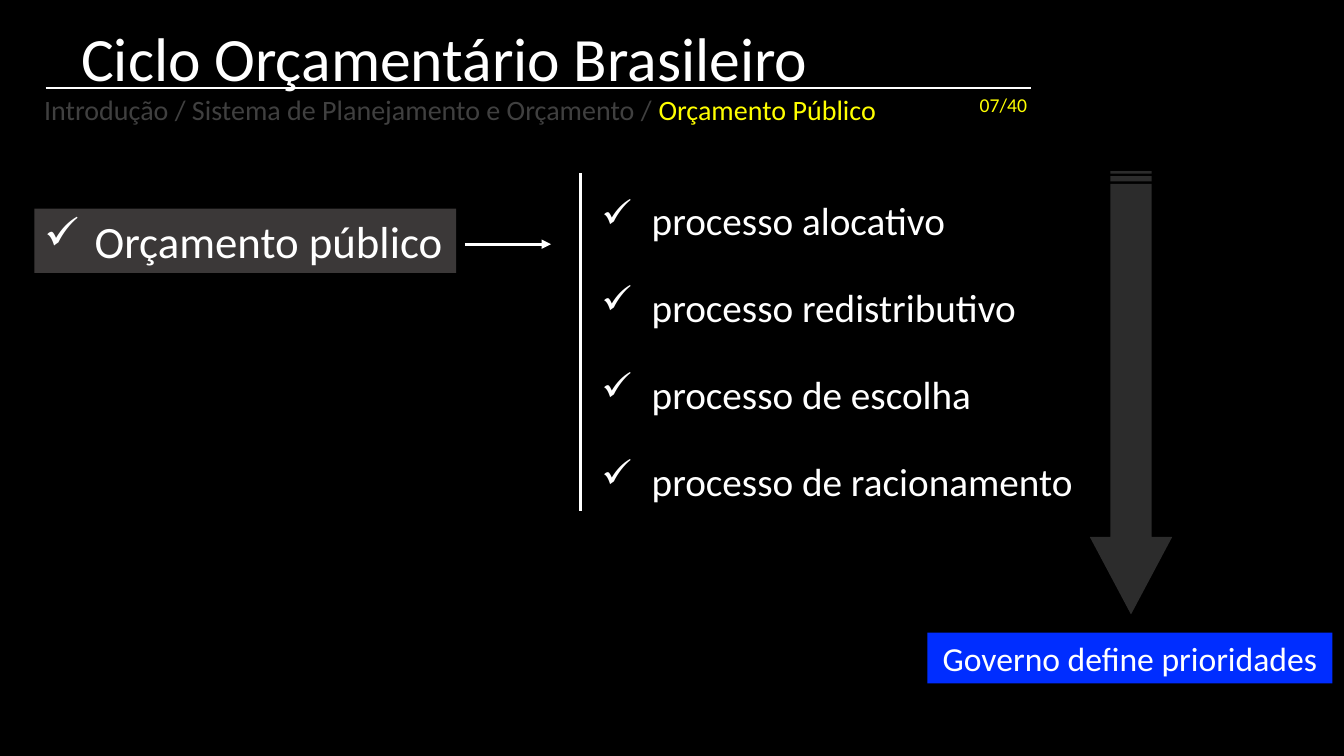
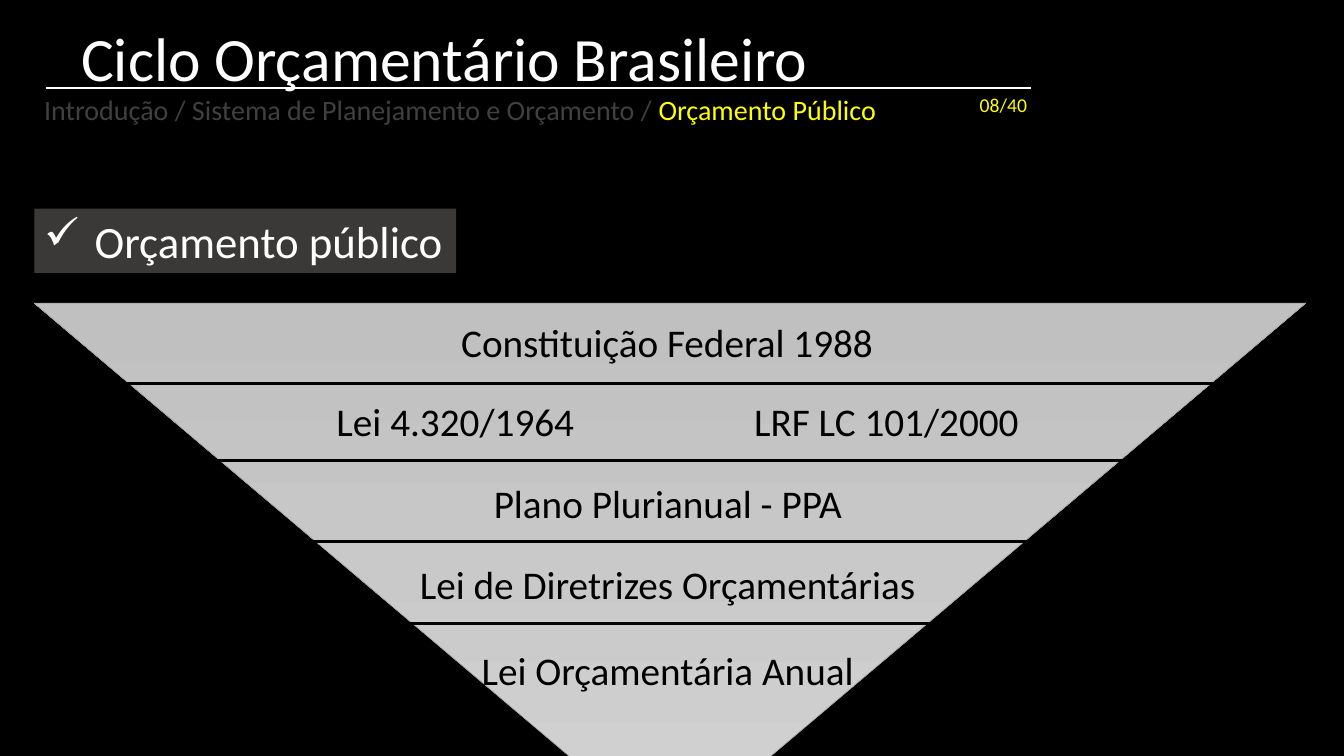
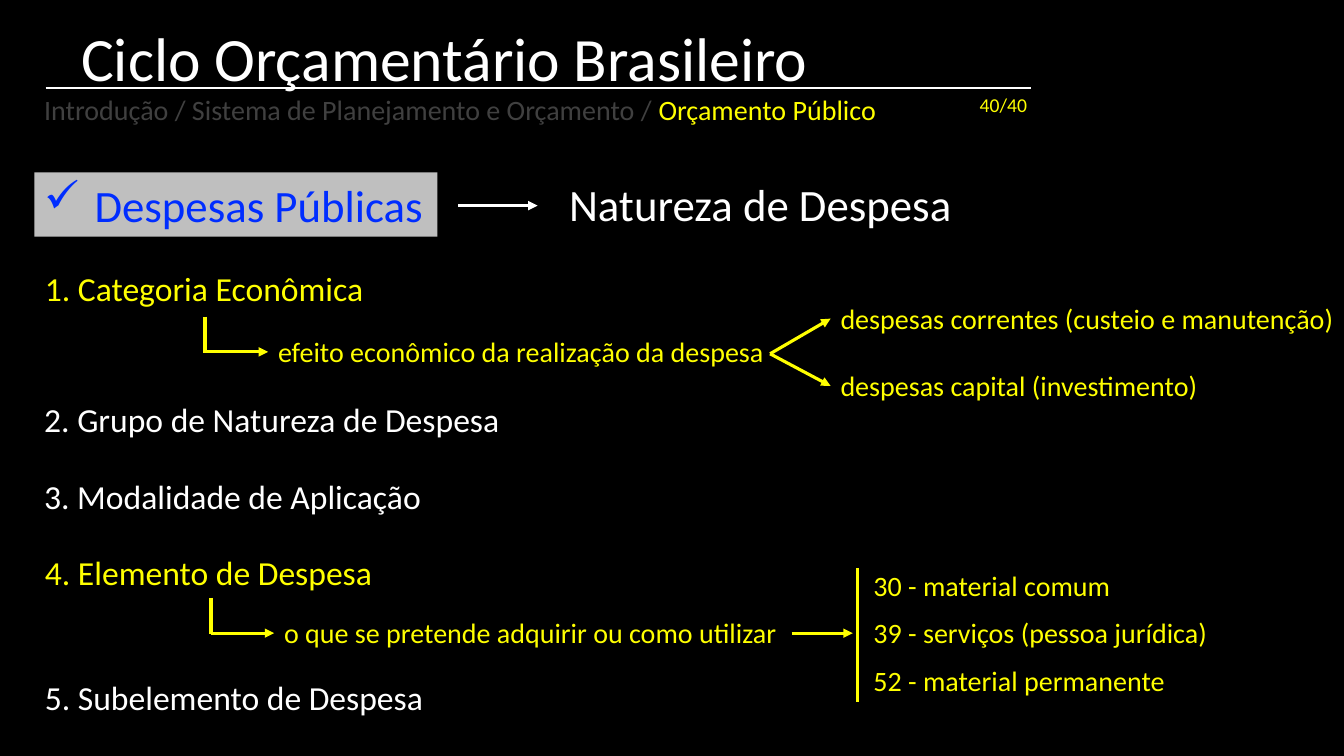
from dataclasses import dataclass

from lxml.etree import SubElement
from pptx import Presentation
from pptx.dml.color import RGBColor
from pptx.enum.shapes import MSO_CONNECTOR, MSO_SHAPE
from pptx.enum.text import MSO_ANCHOR, MSO_AUTO_SIZE, PP_ALIGN
from pptx.oxml.ns import qn
from pptx.util import Inches, Pt

WIDTH, HEIGHT = Inches(13.33), Inches(7.5)
FONT = "Calibri"
WHITE, BLACK, YELLOW, BLUE = "FFFFFF", "000000", "FFFF00", "002DFF"
DARK, SILVER, DIM = "3B3838", "BFBFBF", "404040"
LEFT, RIGHT = 1, 3  # connection sites of a rectangle
MARGIN = 2.55
TAG_H, LABEL_H, ITEM_H, NOTE_H = 8.5, 7.6, 6.7, 5.9


@dataclass(frozen=True)
class Box:
    """A rectangle in percent of the slide's width (x, w) and height (y, h)."""
    x: float
    y: float
    w: float
    h: float

    @property
    def middle(self) -> float:
        return self.y + self.h / 2

    def emu(self) -> tuple:
        return across(self.x), down(self.y), across(self.w), down(self.h)


@dataclass(frozen=True)
class Item:
    text: str
    box: Box
    color: str = WHITE


def across(share: float) -> int:
    return round(WIDTH * share / 100)


def down(share: float) -> int:
    return round(HEIGHT * share / 100)


def rgb(color: str) -> RGBColor:
    return RGBColor.from_string(color)


def add_text(s, box: Box, *runs: tuple, size: float = 20, fill: str = "",
             wrap: bool = False, bullet: bool = False, align=PP_ALIGN.LEFT,
             anchor=MSO_ANCHOR.TOP):
    """Add (text, colour) runs as one paragraph, in a filled rectangle if fill is given."""
    if fill:
        sp = add_shape(s, MSO_SHAPE.RECTANGLE, box)
        sp.fill.solid()
        sp.fill.fore_color.rgb = rgb(fill)
    else:
        sp = s.shapes.add_textbox(*box.emu())
    tf = sp.text_frame
    tf.word_wrap = wrap
    tf.auto_size = MSO_AUTO_SIZE.SHAPE_TO_FIT_TEXT
    tf.vertical_anchor = anchor
    p = tf.paragraphs[0]
    p.alignment = align
    if bullet:
        pPr = p._p.get_or_add_pPr()
        pPr.set("marL", str(Inches(0.5)))
        pPr.set("indent", str(Inches(-0.5)))
        SubElement(pPr, qn("a:buChar")).set("char", "✓")
    for text, color in runs:
        r = p.add_run()
        r.text = text
        r.font.name, r.font.size = FONT, Pt(size)
        r.font.color.rgb = rgb(color)
    return sp


def add_shape(s, kind, box: Box):
    sp = s.shapes.add_shape(kind, *box.emu())
    sp.shadow.inherit = False
    sp.line.fill.background()
    return sp


def add_line(s, x1: float, y1: float, x2: float, y2: float, color: str = WHITE,
             width: float = 2.25, arrow: bool = False, start=None, end=None):
    """Draw a line; start and end are shapes to join at their right and left sides."""
    c = s.shapes.add_connector(MSO_CONNECTOR.STRAIGHT, across(x1), down(y1),
                               across(x2), down(y2))
    c.line.width = Pt(width)
    c.line.color.rgb = rgb(color)
    spPr = c.element.spPr
    if arrow:
        SubElement(spPr.find(qn("a:ln")), qn("a:tailEnd")).set("type", "triangle")
    SubElement(spPr, qn("a:effectLst"))
    if start is not None:
        c.begin_connect(start, RIGHT)
    if end is not None:
        c.end_connect(end, LEFT)
    return c


def add_slide(prs, page: str):
    """Add a slide with the shared title, rule, trail and page number."""
    s = prs.slides.add_slide(prs.slide_layouts[6])
    add_text(s, Box(5.3, 1.9, 68.6, 11.2), ("Ciclo Orçamentário Brasileiro", WHITE),
             size=44, wrap=True, anchor=MSO_ANCHOR.MIDDLE)
    add_line(s, 3.4, 11.6, 76.7, 11.6, width=1.5)
    add_text(s, Box(MARGIN, 11.6, 64, NOTE_H),
             ("Introdução / Sistema de Planejamento e Orçamento / ", DIM),
             ("Orçamento Público", YELLOW))
    add_text(s, Box(72.15, 11.6, 5.1, 4.5), (f"{page}/40", YELLOW), size=14)
    return s


def add_tag(s, text: str, y: float, w: float, color: str = WHITE, fill: str = DARK):
    add_text(s, Box(MARGIN, y, w, TAG_H), (text, color), size=32, fill=fill, bullet=True)


def add_budget_tag(s):
    add_tag(s, "Orçamento público", 27.6, 31.4)


def add_detail(s, text: str, box: Box):
    """Add a yellow note with an elbow arrow leading into its left side."""
    sp = add_text(s, box, (text, YELLOW))
    x = box.x - 4.7
    add_line(s, x, box.y - 1.7, x, box.middle + 0.1, YELLOW)
    add_line(s, x, box.middle, box.x, box.middle, YELLOW, arrow=True, end=sp)
    return sp


def processes_slide(prs):
    s = add_slide(prs, "07")
    add_budget_tag(s)
    add_line(s, 34.6, 32.3, 41, 32.3, arrow=True)
    add_line(s, 43.2, 22.9, 43.2, 67.6)
    for i, kind in enumerate(("alocativo", "redistributivo", "de escolha",
                              "de racionamento")):
        add_text(s, Box(44, 25.3 + 11.5 * i, 55.4, LABEL_H), (f"processo {kind}", WHITE),
                 size=28, wrap=True, bullet=True, align=PP_ALIGN.JUSTIFY)
    arrow = add_shape(s, MSO_SHAPE.STRIPED_RIGHT_ARROW, Box(67.65, 46.5, 33, 10.9))
    arrow.rotation = 90
    arrow.adjustments[1] = 0.94
    arrow.fill.solid()
    arrow.fill.fore_color.rgb = rgb("595959")
    tint = arrow.element.spPr.find(qn("a:solidFill")).find(qn("a:srgbClr"))
    SubElement(tint, qn("a:alpha")).set("val", "50000")
    add_text(s, Box(69, 83.7, 30.15, ITEM_H), ("Governo define prioridades", WHITE),
             size=24, fill=BLUE, wrap=True, align=PP_ALIGN.CENTER)


def laws_slide(prs):
    s = add_slide(prs, "08")
    add_budget_tag(s)
    funnel = add_shape(s, MSO_SHAPE.ISOSCELES_TRIANGLE, Box(MARGIN, 40.1, 94.6, 71.2))
    funnel.rotation = 180
    funnel.fill.gradient()
    funnel.fill.gradient_angle = 270
    for stop, color in zip(funnel.fill.gradient_stops, ("D2D2D2", "C0C0C0")):
        stop.color.rgb = rgb(color)
    funnel.line.color.rgb = rgb("A5A5A5")
    funnel.line.width = Pt(0.5)
    for x, y in ((6.9, 50.7), (7.3, 60.9), (12.2, 71.6), (12.2, 82.5)):
        add_line(s, x, y, x + 86.2, y, BLACK)
    for text, center, y, w in (
        ("Constituição Federal 1988", 49.85, 41.5, 32.55),
        ("Lei 4.320/1964", 34, 51.9, 19.4),
        ("LRF LC 101/2000", 66.1, 51.9, 21.45),
        ("Plano Plurianual - PPA", 49.85, 62.7, 27.7),
        ("Lei de Diretrizes Orçamentárias", 49.85, 73.5, 38.7),
        ("Lei Orçamentária Anual", 49.85, 84.9, 29.5),
    ):
        add_text(s, Box(center - w / 2, y, w, LABEL_H), (text, BLACK), size=28)


def expenses_slide(prs):
    s = add_slide(prs, "40")
    add_tag(s, "Despesas Públicas", 22.8, 30, BLUE, SILVER)
    add_line(s, 34.1, 27.2, 40, 27.2, arrow=True)
    add_text(s, Box(41.6, 22.7, 30.2, TAG_H), ("Natureza de Despesa", WHITE), size=32)
    for item in (
        Item("1. Categoria Econômica", Box(2.6, 34.8, 25.4, ITEM_H), YELLOW),
        Item("2. Grupo de Natureza de Despesa", Box(MARGIN, 52.1, 35.7, ITEM_H)),
        Item("3. Modalidade de Aplicação", Box(MARGIN, 62.3, 29.8, ITEM_H)),
        Item("4. Elemento de Despesa", Box(2.6, 72.4, 26.1, ITEM_H), YELLOW),
        Item("5. Subelemento de Despesa", Box(2.6, 88.9, 29.9, ITEM_H)),
    ):
        add_text(s, item.box, (item.text, item.color), size=24)

    add_detail(s, "efeito econômico da realização da despesa",
               Box(19.95, 43.6, 38, NOTE_H))
    for text, y in (("despesas correntes (custeio e manutenção)", 39.2),
                    ("despesas capital (investimento)", 48.1)):
        box = Box(61.8, y, 38.7, NOTE_H)
        branch = add_text(s, box, (text, YELLOW), wrap=True)
        add_line(s, 57.3, 46.8, box.x, box.middle, YELLOW, arrow=True, end=branch)

    use_box = Box(20.4, 80.8, 38.5, NOTE_H)
    use = add_detail(s, "o que se pretende adquirir ou como utilizar", use_box)
    add_line(s, use_box.x + use_box.w, use_box.middle, 63.45, use_box.middle, YELLOW,
             arrow=True, start=use)
    add_line(s, 63.8, 75.2, 63.8, 92.8, YELLOW)
    for i, text in enumerate(("30 - material comum", "39 - serviços (pessoa jurídica)",
                              "52 - material permanente")):
        add_text(s, Box(64.25, 74.5 + 6.3 * i, 26.8, NOTE_H), (text, YELLOW), wrap=True)


def main():
    prs = Presentation()
    prs.slide_width, prs.slide_height = WIDTH, HEIGHT
    backdrop = prs.slide_master.background.fill
    backdrop.solid()
    backdrop.fore_color.rgb = rgb(BLACK)
    for build in (processes_slide, laws_slide, expenses_slide):
        build(prs)
    prs.save("out.pptx")


if __name__ == "__main__":
    main()
